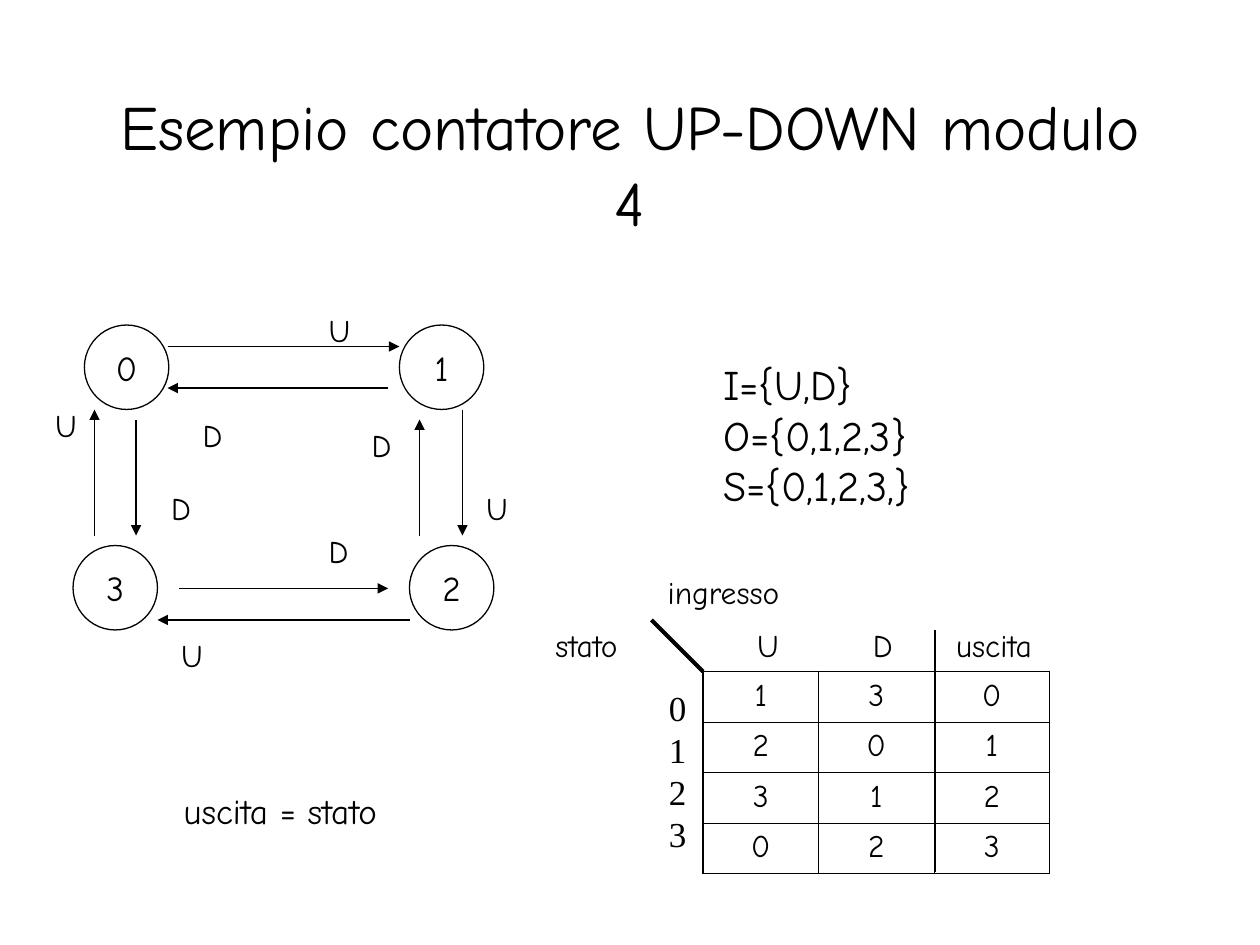
from dataclasses import dataclass

from lxml import etree
from pptx import Presentation
from pptx.dml.color import RGBColor
from pptx.enum.shapes import MSO_CONNECTOR, MSO_SHAPE
from pptx.enum.text import MSO_ANCHOR, MSO_AUTO_SIZE, PP_ALIGN
from pptx.oxml.ns import qn
from pptx.util import Inches, Pt

LEFT, CENTER = PP_ALIGN.LEFT, PP_ALIGN.CENTER
MIDDLE = MSO_ANCHOR.MIDDLE
NO_FIT, GROW = MSO_AUTO_SIZE.NONE, MSO_AUTO_SIZE.SHAPE_TO_FIT_TEXT
STRAIGHT = MSO_CONNECTOR.STRAIGHT
OVAL = MSO_SHAPE.OVAL


@dataclass
class Theme:
    ink = RGBColor(0, 0, 0)
    paper = RGBColor(255, 255, 255)
    font = "Comic Neue"
    serif = "Times New Roman"
    title = 36
    sets = 24
    state = 20
    label = 18
    thin = 0.75
    inner_border = 0.45
    outer_border = 1.08


def write(tf, text, size=Theme.label, font=Theme.font, align=LEFT, before=0, spacing=None):
    """Fill a text frame, one paragraph for each line of text."""
    for i, line in enumerate(text.split("\n")):
        p = tf.paragraphs[0] if i == 0 else tf.add_paragraph()
        p.alignment = align
        p.space_before = Pt(before)
        p.line_spacing = spacing
        r = p.add_run()
        r.text = line
        r.font.size = Pt(size)
        r.font.name = font
        r.font.color.rgb = Theme.ink


def add_line(s, x1, y1, x2, y2, width=Theme.thin, arrow=False):
    line = s.shapes.add_connector(STRAIGHT, Inches(x1), Inches(y1), Inches(x2), Inches(y2))
    line.line.color.rgb = Theme.ink
    line.line.width = Pt(width)
    if arrow:
        etree.SubElement(line.line._get_or_add_ln(), qn("a:tailEnd"), type="triangle")
    etree.SubElement(line._element.spPr, qn("a:effectLst"))


prs = Presentation()
prs.slide_width, prs.slide_height = Inches(10), Inches(7.5)
s = prs.slides.add_slide(prs.slide_layouts[5])

# Title
title = s.shapes.title
title.left, title.top = Inches(0.75), Inches(0.67)
title.width, title.height = Inches(8.5), Inches(1.25)
tf = title.text_frame
tf.word_wrap = True
tf.auto_size = NO_FIT
tf.vertical_anchor = MIDDLE
write(tf, "Esempio contatore UP-DOWN modulo 4", size=Theme.title, align=CENTER)

# State diagram: nodes
for state, (x, y) in enumerate([(0.67, 2.58), (3.17, 2.58), (3.25, 4.33), (0.58, 4.33)]):
    node = s.shapes.add_shape(OVAL, Inches(x), Inches(y), Inches(0.67), Inches(0.67))
    node.shadow.inherit = False
    node.fill.solid()
    node.fill.fore_color.rgb = Theme.paper
    node.line.color.rgb = Theme.ink
    node.line.width = Pt(Theme.thin)
    tf = node.text_frame
    tf.word_wrap = False
    tf.vertical_anchor = MIDDLE
    write(tf, str(state), size=Theme.state, align=CENTER)

# State diagram: transitions, up then down
transitions = [
    (1.33, 2.75, 3.17, 2.75), (3.67, 3.25, 3.67, 4.25),
    (3.25, 4.92, 1.25, 4.92), (0.75, 4.25, 0.75, 3.25),
    (3.08, 3.08, 1.33, 3.08), (3.33, 4.25, 3.33, 3.33),
    (1.42, 4.67, 3.08, 4.67), (1.08, 3.33, 1.08, 4.25),
]
for ends in transitions:
    add_line(s, *ends, arrow=True)

# Free texts: position, size, wording, format
up_spots = [(2.51, 2.42), (3.76, 3.83), (1.34, 5), (0.34, 3.17)]
down_spots = [(1.51, 3.25), (2.51, 4.17), (2.85, 3.33), (1.26, 3.83)]
texts = [(x, y, 0.37, 0.4, "U", {}) for x, y in up_spots]
texts += [(x, y, 0.35, 0.4, "D", {}) for x, y in down_spots]
texts += [
    (5.64, 2.8, 1.68, 1.3, "I={U,D}\nO={0,1,2,3}\nS={0,1,2,3,}", {"size": Theme.sets}),
    (5.2, 4.5, 1.09, 0.4, "ingresso", {}),
    (4.31, 4.92, 0.71, 0.4, "stato", {}),
    (5.21, 5.4, 0.34, 1.44, "0\n1\n2\n3",
     {"size": Theme.state, "font": Theme.serif, "spacing": Pt(24)}),
    (1.36, 6.22, 1.76, 0.44, "uscita = stato", {"size": Theme.state}),
]
for x, y, w, h, text, style in texts:
    tf = s.shapes.add_textbox(Inches(x), Inches(y), Inches(w), Inches(h)).text_frame
    tf.word_wrap = False
    tf.auto_size = GROW
    write(tf, text, **style)

# Column headings, spaced with tab stops
heading = s.shapes.add_textbox(Inches(5.91), Inches(4.92), Inches(2.39), Inches(0.4))
tf = heading.text_frame
tf.word_wrap = True
write(tf, "U\tD\tuscita")
tabs = etree.SubElement(tf.paragraphs[0]._p.get_or_add_pPr(), qn("a:tabLst"))
for stop in (0.92, 1.58):
    etree.SubElement(tabs, qn("a:tab"), pos=str(Inches(stop)), algn="l")

# Transition table
rows = [(1, 3, 0), (2, 0, 1), (3, 1, 2), (0, 2, 3)]
frame = s.shapes.add_table(4, 3, Inches(5.58), Inches(5.33), Inches(2.75), Inches(1.6))
table = frame.table
table.first_row = table.horz_banding = False
for i, row in enumerate(rows):
    for j, value in enumerate(row):
        cell = table.cell(i, j)
        cell.fill.background()
        write(cell.text_frame, str(value), align=CENTER, before=4.5)
        outer_sides = {"a:lnL": j == 0, "a:lnR": j == 2, "a:lnT": i == 0, "a:lnB": i == 3}
        tcPr = cell._tc.get_or_add_tcPr()
        for k, (side, outer) in enumerate(outer_sides.items()):
            width = Theme.outer_border if outer else Theme.inner_border
            ln = etree.Element(qn(side), w=str(Pt(width)))
            fill = etree.SubElement(ln, qn("a:solidFill"))
            etree.SubElement(fill, qn("a:srgbClr"), val=str(Theme.ink))
            tcPr.insert(k, ln)

add_line(s, 5.17, 4.92, 5.58, 5.33, width=2.25)
add_line(s, 7.42, 6.92, 7.42, 5, width=1.5)

prs.save("out.pptx")
